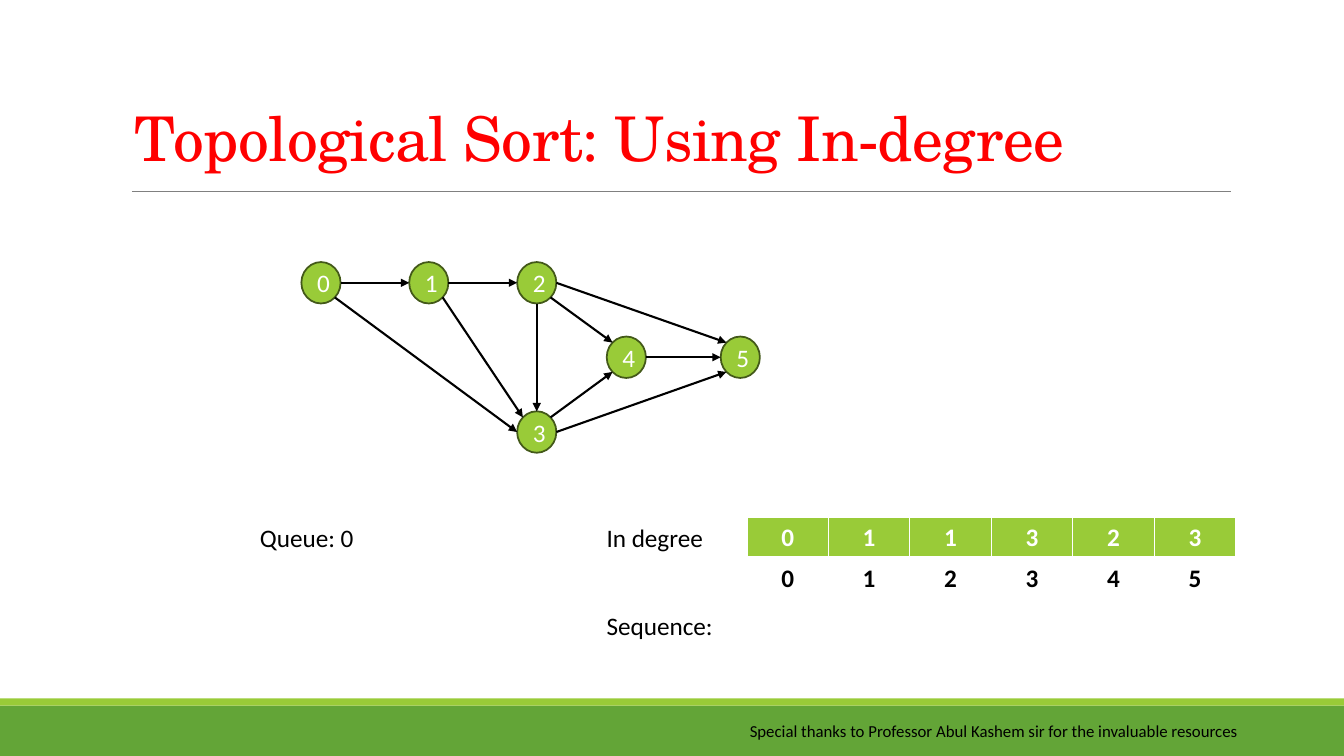
from math import sqrt
from lxml.etree import SubElement
from pptx import Presentation
from pptx.dml.color import RGBColor
from pptx.enum.shapes import MSO_CONNECTOR, MSO_SHAPE
from pptx.enum.text import MSO_ANCHOR, MSO_AUTO_SIZE, PP_ALIGN
from pptx.oxml.ns import qn
from pptx.util import Pt

# Content
TITLE = "Topological Sort: Using In-degree"
CREDIT = "Special thanks to Professor Abul Kashem sir for the invaluable resources"
NODES = {  # label: centre x, centre y
    "0": (229.3, 202), "1": (306.3, 202), "2": (383.4, 202),
    "3": (383.4, 308.6), "4": (447.4, 255.2), "5": (528.8, 255.2),
}
EDGES = [  # from node, leaving side, to node, entering side
    ("0", "E", "1", "W"), ("1", "E", "2", "W"), ("2", "S", "3", "N"),
    ("2", "SE", "4", "NW"), ("3", "NE", "4", "SW"), ("4", "E", "5", "W"),
    ("2", "E", "5", "NW"), ("3", "E", "5", "SW"), ("1", "SE", "3", "NW"),
    ("0", "SE", "3", "W"),
]
IN_DEGREES = ["0", "1", "1", "3", "2", "3"]
LABELS = [  # text, left, top, width, wraps
    ("Queue: 0", 178.6, 369.4, 86.4, False),
    ("In degree", 426.2, 369.4, 88.6, False),
    ("Sequence:", 426.2, 432.7, 319.7, True),
]

# Theme
THEME = {
    "lime": "99CB38", "green": "63A537", "olive": "435919", "red": "FF0000",
    "grey": "808080", "black": "000000", "white": "FFFFFF",
    "body": "Calibri", "heading": "TeX Gyre Schola",
    "title_pt": 44, "body_pt": 18, "credit_pt": 12,
}
W, H = 960, 540
NODE_W, NODE_H = 28, 29.6
TABLE_X, TABLE_Y, CELL_W, ROW_H = 533.5, 369.4, 58.2, 29.2
DIAG = 1 / sqrt(2)
SIDES = {"N": (0, -1), "S": (0, 1), "E": (1, 0), "W": (-1, 0),
         "NE": (DIAG, -DIAG), "SE": (DIAG, DIAG),
         "NW": (-DIAG, -DIAG), "SW": (-DIAG, DIAG)}


def rgb(name):
    return RGBColor.from_string(THEME[name])


def write(tf, text, size="body_pt", font="body", color="black", bold=False,
          align=None, spacing=None, tracking=None):
    p = tf.paragraphs[0]
    p.alignment = align
    if spacing:
        p.line_spacing = spacing
    r = p.add_run()
    r.text = text
    r.font.size, r.font.name, r.font.bold = Pt(THEME[size]), THEME[font], bold
    r.font.color.rgb = rgb(color)
    if tracking:
        r.font._element.set("spc", str(round(tracking * 100)))


def add_text(s, text, x, y, w, h, wrap=True, grow=True,
             anchor=MSO_ANCHOR.TOP, **fmt):
    tf = s.shapes.add_textbox(Pt(x), Pt(y), Pt(w), Pt(h)).text_frame
    tf.word_wrap, tf.vertical_anchor = wrap, anchor
    tf.auto_size = MSO_AUTO_SIZE.SHAPE_TO_FIT_TEXT if grow else MSO_AUTO_SIZE.NONE
    write(tf, text, **fmt)


def add_shape(s, kind, x, y, w, h, fill, line=None):
    sp = s.shapes.add_shape(kind, Pt(x), Pt(y), Pt(w), Pt(h))
    sp.shadow.inherit = False
    sp.fill.solid()
    sp.fill.fore_color.rgb = rgb(fill)
    if line:
        sp.line.color.rgb, sp.line.width = rgb(line), Pt(1.25)
    else:
        sp.line.fill.background()
    return sp


def add_line(s, start, end, color, width, arrow=False):
    cx = s.shapes.add_connector(MSO_CONNECTOR.STRAIGHT,
                                *(Pt(v) for v in (*start, *end)))
    cx.line.color.rgb, cx.line.width = rgb(color), Pt(width)
    if arrow:
        SubElement(cx.line._get_or_add_ln(), qn("a:tailEnd"), type="triangle")
    SubElement(cx._element.spPr, qn("a:effectLst"))


def port(node, side):
    (x, y), (dx, dy) = NODES[node], SIDES[side]
    return x + dx * NODE_W / 2, y + dy * NODE_H / 2


def add_borders(cell):
    tcPr = cell._tc.get_or_add_tcPr()
    for i, (tag, width) in enumerate([("lnL", 1), ("lnR", 1), ("lnT", 1), ("lnB", 3)]):
        ln = SubElement(tcPr, qn(f"a:{tag}"), w=str(Pt(width)))
        fill = SubElement(ln, qn("a:solidFill"))
        SubElement(fill, qn("a:srgbClr"), val=THEME["white"])
        tcPr.insert(i, ln)


def add_row_table(s, values, y, fill, color):
    n = len(values)
    table = s.shapes.add_table(1, n, Pt(TABLE_X), Pt(y),
                               Pt(CELL_W * n), Pt(ROW_H)).table
    for col, value in enumerate(values):
        table.columns[col].width = Pt(CELL_W)
        cell = table.cell(0, col)
        cell.fill.solid()
        cell.fill.fore_color.rgb = rgb(fill)
        add_borders(cell)
        write(cell.text_frame, value, color=color, bold=True, align=PP_ALIGN.CENTER)


def main():
    prs = Presentation()
    prs.slide_width, prs.slide_height = Pt(W), Pt(H)
    s = prs.slides.add_slide(prs.slide_layouts[6])

    # Footer bands, title and rule
    add_shape(s, MSO_SHAPE.RECTANGLE, 0, 504, W, 36, "green")
    add_shape(s, MSO_SHAPE.RECTANGLE, 0, 498.8, W, 5.2, "lime")
    add_line(s, (94.3, 136.6), (879.1, 136.6), "grey", 0.5)
    add_text(s, TITLE, 89.3, 13.7, 825.1, 114.5, grow=False,
             anchor=MSO_ANCHOR.BOTTOM, size="title_pt", font="heading",
             color="red", spacing=0.85, tracking=-0.5)
    add_text(s, CREDIT, 528.5, 511.2, 412.6, 21.8, wrap=False, size="credit_pt")

    # Graph
    for label, (x, y) in NODES.items():
        sp = add_shape(s, MSO_SHAPE.OVAL, x - NODE_W / 2, y - NODE_H / 2,
                       NODE_W, NODE_H, "lime", "olive")
        sp.text_frame.vertical_anchor = MSO_ANCHOR.MIDDLE
        write(sp.text_frame, label, color="white", align=PP_ALIGN.CENTER)
    for a, leave, b, enter in EDGES:
        add_line(s, port(a, leave), port(b, enter), "black", 1.5, arrow=True)

    # Queue, in-degree tables and sequence
    for text, x, y, w, wrap in LABELS:
        add_text(s, text, x, y, w, 29.1, wrap=wrap)
    add_row_table(s, IN_DEGREES, TABLE_Y, "lime", "white")
    add_row_table(s, list(NODES), TABLE_Y + ROW_H, "white", "black")

    prs.save("out.pptx")


if __name__ == "__main__":
    main()
